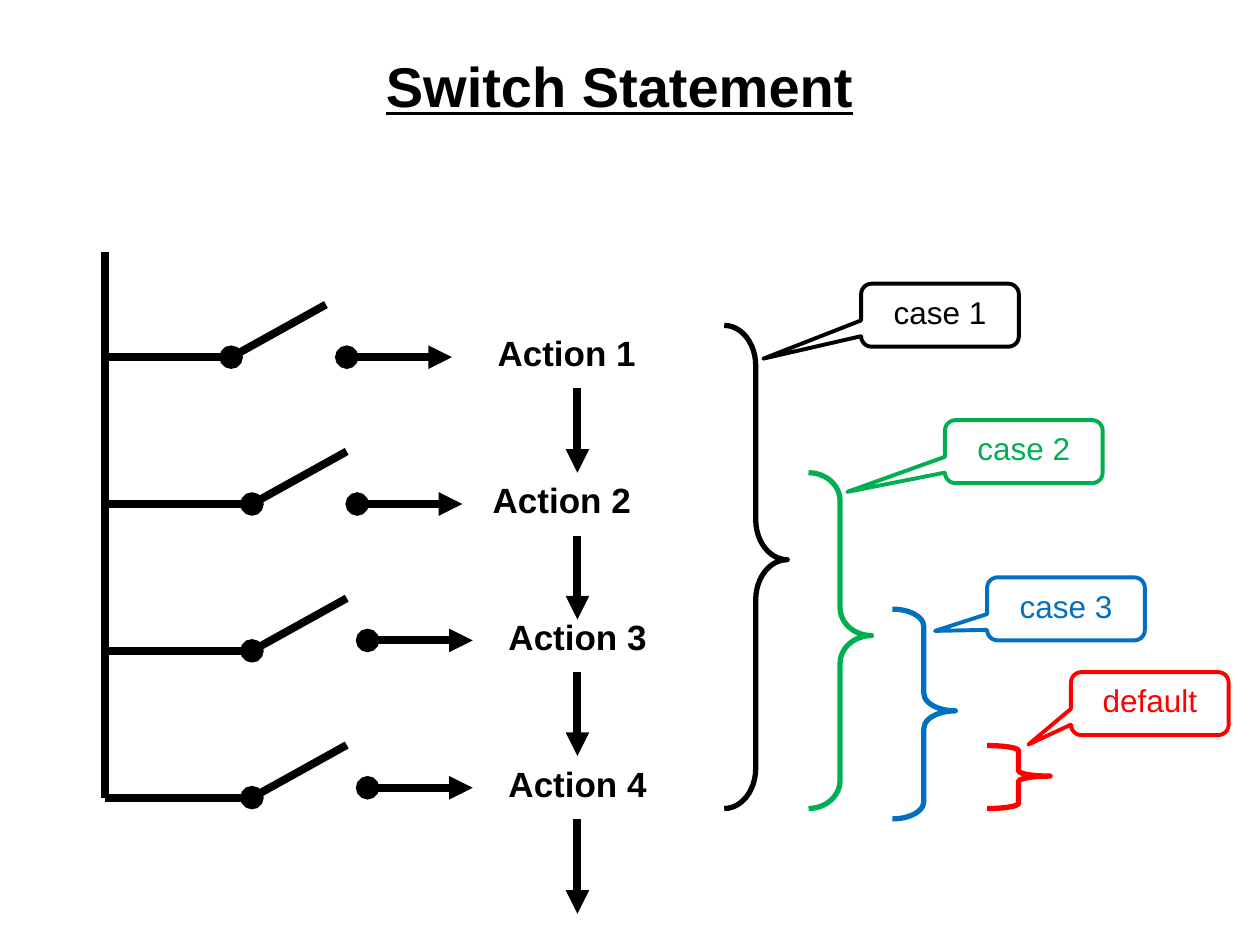
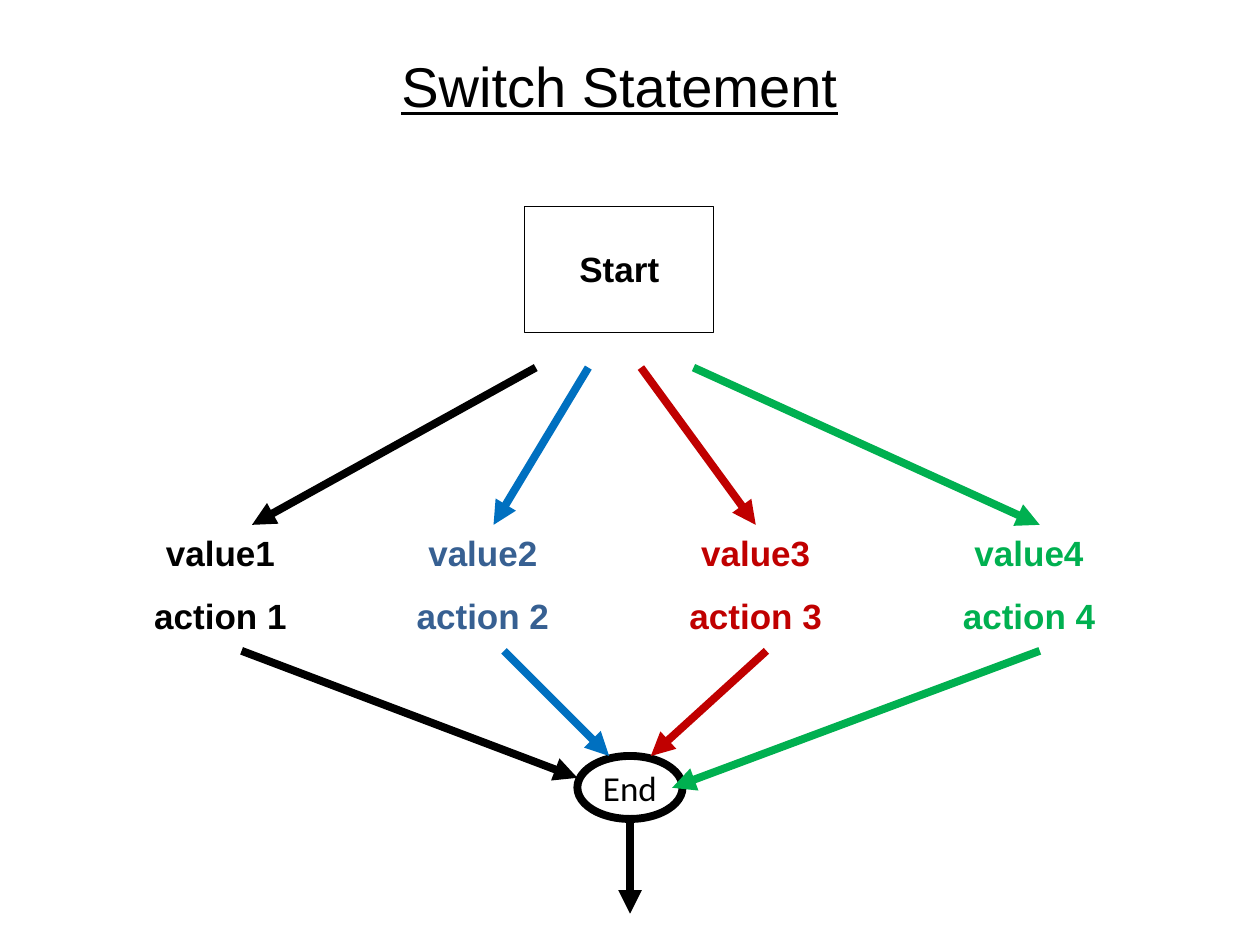
import dataclasses

import pptx
import pptx.dml.color
import pptx.enum.shapes
import pptx.enum.text
import pptx.oxml.ns
import pptx.util
from lxml import etree

Cm = pptx.util.Cm
Pt = pptx.util.Pt
MSO_SHAPE = pptx.enum.shapes.MSO_SHAPE
ANCHOR = pptx.enum.text.MSO_ANCHOR
qn = pptx.oxml.ns.qn


@dataclasses.dataclass(frozen=True)
class Theme:
    black: str = "000000"
    white: str = "FFFFFF"
    green: str = "00B050"
    blue: str = "0070C0"
    slate: str = "376092"
    red: str = "FF0000"
    dark_red: str = "C00000"
    font: str = "Arial"
    end_font: str = "Calibri"
    title_size: float = 32
    label_size: float = 20
    callout_size: float = 18
    paragraph_gap: float = 12.5
    heavy: float = 4.5
    brace: float = 3
    callout: float = 2.25
    thin: float = 0.75


class Deck:
    def __init__(self, theme):
        self.theme = theme
        self.prs = pptx.Presentation()
        self.prs.slide_width = Cm(25.4)
        self.prs.slide_height = Cm(19.05)

    def new_slide(self):
        self.slide = self.prs.slides.add_slide(self.prs.slide_layouts[6])
        self.shapes = self.slide.shapes

    def begin_group(self):
        self.shapes = self.slide.shapes.add_group_shape().shapes

    def end_group(self):
        self.shapes = self.slide.shapes

    def put_text(self, sp, lines, size, color, bold=False, underline=False,
                 font=None, anchor=ANCHOR.TOP, wrap=True):
        tf = sp.text_frame
        tf.word_wrap = wrap
        tf.vertical_anchor = anchor
        for i, line in enumerate(lines):
            p = tf.add_paragraph() if i else tf.paragraphs[0]
            p.alignment = pptx.enum.text.PP_ALIGN.CENTER
            if i:
                p.space_before = Pt(self.theme.paragraph_gap)
            r = p.add_run()
            r.text = line
            r.font.name = font or self.theme.font
            r.font.size = Pt(size)
            r.font.bold = bold
            r.font.underline = underline
            r.font.color.rgb = pptx.dml.color.RGBColor.from_string(color)

    def stroke(self, line, color, width):
        line.color.rgb = pptx.dml.color.RGBColor.from_string(color)
        line.width = Pt(width)

    def outline(self, kind, left, top, width, height, color, weight):
        sp = self.shapes.add_shape(kind, Cm(left), Cm(top), Cm(width), Cm(height))
        sp.shadow.inherit = False
        sp.fill.background()
        self.stroke(sp.line, color, weight)
        return sp

    def title(self, text, bold):
        sp = self.shapes.add_textbox(Cm(0.64), Cm(0.91), Cm(23.7), Cm(2.03))
        self.put_text(sp, [text], self.theme.title_size, self.theme.black, bold, True)

    def label(self, lines, left, top, width=4.23, height=1.12, color=None):
        sp = self.outline(MSO_SHAPE.RECTANGLE, left, top, width, height,
                          self.theme.white, self.theme.heavy)
        self.put_text(sp, lines, self.theme.label_size, color or self.theme.black, True)
        sp.text_frame.auto_size = pptx.enum.text.MSO_AUTO_SIZE.SHAPE_TO_FIT_TEXT
        return sp

    def line(self, x1, y1, x2, y2, color=None, head=None, tail=None):
        cxn = self.shapes.add_connector(pptx.enum.shapes.MSO_CONNECTOR.STRAIGHT,
                                        Cm(x1), Cm(y1), Cm(x2), Cm(y2))
        self.stroke(cxn.line, color or self.theme.black, self.theme.heavy)
        sp_pr = cxn._element.spPr
        ln = sp_pr.find(qn("a:ln"))
        for tag, kind in (("a:headEnd", head), ("a:tailEnd", tail)):
            if kind:
                etree.SubElement(ln, qn(tag), type=kind)
        etree.SubElement(sp_pr, qn("a:effectLst"))
        return cxn

    def arrow(self, x1, y1, x2, y2, color=None, head=None):
        return self.line(x1, y1, x2, y2, color, head, "triangle")

    def brace(self, left, top, height, color):
        width = 1.27
        sp = self.outline(MSO_SHAPE.RIGHT_BRACE, left, top, width, height,
                          color, self.theme.brace)
        sp.adjustments[0] = height / 12 / width
        sp.adjustments[1] = 0.485

    def callout(self, text, left, top, pointer, color):
        sp = self.outline(MSO_SHAPE.ROUNDED_RECTANGULAR_CALLOUT, left, top, 3.18, 1.27,
                          color, self.theme.callout)
        sp.adjustments[0], sp.adjustments[1] = pointer
        self.put_text(sp, [text], self.theme.callout_size, color)


def build_switches(deck):
    t = deck.theme
    deck.new_slide()
    for text, left, top in (("Action 1", 9.31, 6.56), ("Action 2 ", 9.31, 9.53),
                            ("Action 3", 9.53, 12.28), ("Action 4", 9.53, 15.24)):
        deck.label([text], left, top)

    rail_x, first_y, row_gap = 2.12, 7.2, 2.96
    deck.line(rail_x, 5.08, rail_x, first_y + 3 * row_gap)
    switches = ((4.66, 6.99, 7.2), (5.08, 7.2, 10.16),
                (5.08, 7.41, 12.91), (5.08, 7.41, 15.88))
    for row, (pivot_x, contact_x, contact_y) in enumerate(switches):
        y = first_y + row * row_gap
        deck.line(rail_x, y, 4.87, y)
        deck.line(pivot_x, y, pivot_x + 1.91, y - 1.06, head="oval")
        deck.arrow(contact_x, contact_y, contact_x + 2.12, contact_y, head="oval")

    for start_y, end_y in ((7.83, 9.53), (10.8, 12.49), (13.55, 15.24), (16.51, 18.42)):
        deck.arrow(11.64, start_y, 11.64, end_y)

    for left, top, height, color in ((14.6, 6.56, 9.74, t.black),
                                     (16.3, 9.53, 6.77, t.green),
                                     (17.99, 12.28, 4.23, t.blue),
                                     (19.9, 15.03, 1.27, t.red)):
        deck.brace(left, top, height, color)
    for text, left, top, pointer, color in (
            ("case 1", 17.36, 5.72, (-1.12, 0.69), t.black),
            ("case 2", 19.05, 8.47, (-1.12, 0.64), t.green),
            ("case 3", 19.9, 11.64, (-0.83, 0.35), t.blue),
            ("default", 21.59, 13.55, (-0.77, 0.65), t.red)):
        deck.callout(text, left, top, pointer, color)
    deck.title("Switch Statement", bold=True)


def build_branches(deck):
    t = deck.theme
    deck.new_slide()
    deck.label(["Start"], 10.05, 4.87, width=4.87)
    end = deck.outline(MSO_SHAPE.FLOWCHART_CONNECTOR, 11.64, 15.24, 2.12, 1.27,
                       t.black, t.heavy)
    deck.put_text(end, ["End"], t.label_size, t.black, font=t.end_font,
                  anchor=ANCHOR.MIDDLE, wrap=False)

    box_top = 10.58
    branches = ((2.33, 5.08, 4.87, (11.64, 15.68), t.black, t.black),
                (7.62, 9.95, 10.16, (12.28, 15.24), t.slate, t.blue),
                (13.12, 15.24, 15.45, (13.12, 15.24), t.dark_red, t.dark_red),
                (18.63, 20.96, 20.96, (13.55, 15.88), t.green, t.green))
    for i, (left, in_x, out_x, target, text_color, color) in enumerate(branches):
        deck.begin_group()
        box = deck.label([f"value{i + 1}", f"action {i + 1}"], left, box_top,
                         height=2.38, color=text_color)
        into = deck.arrow(10.8 + 1.06 * i, 7.41, in_x, box_top, color)
        if abs(Cm(in_x) - box.left - box.width // 2) < Cm(0.02):
            into.end_connect(box, 0)
        deck.arrow(out_x, 13.12, *target, color)
    deck.end_group()

    deck.arrow(12.7, 16.51, 12.7, 18.42)
    deck.title("Switch Statement", bold=False)
    deck.outline(MSO_SHAPE.RECTANGLE, 10.58, 4.17, 3.81, 2.54, t.black, t.thin)


def main():
    deck = Deck(Theme())
    build_switches(deck)
    build_branches(deck)
    deck.prs.save("out.pptx")


if __name__ == "__main__":
    main()
